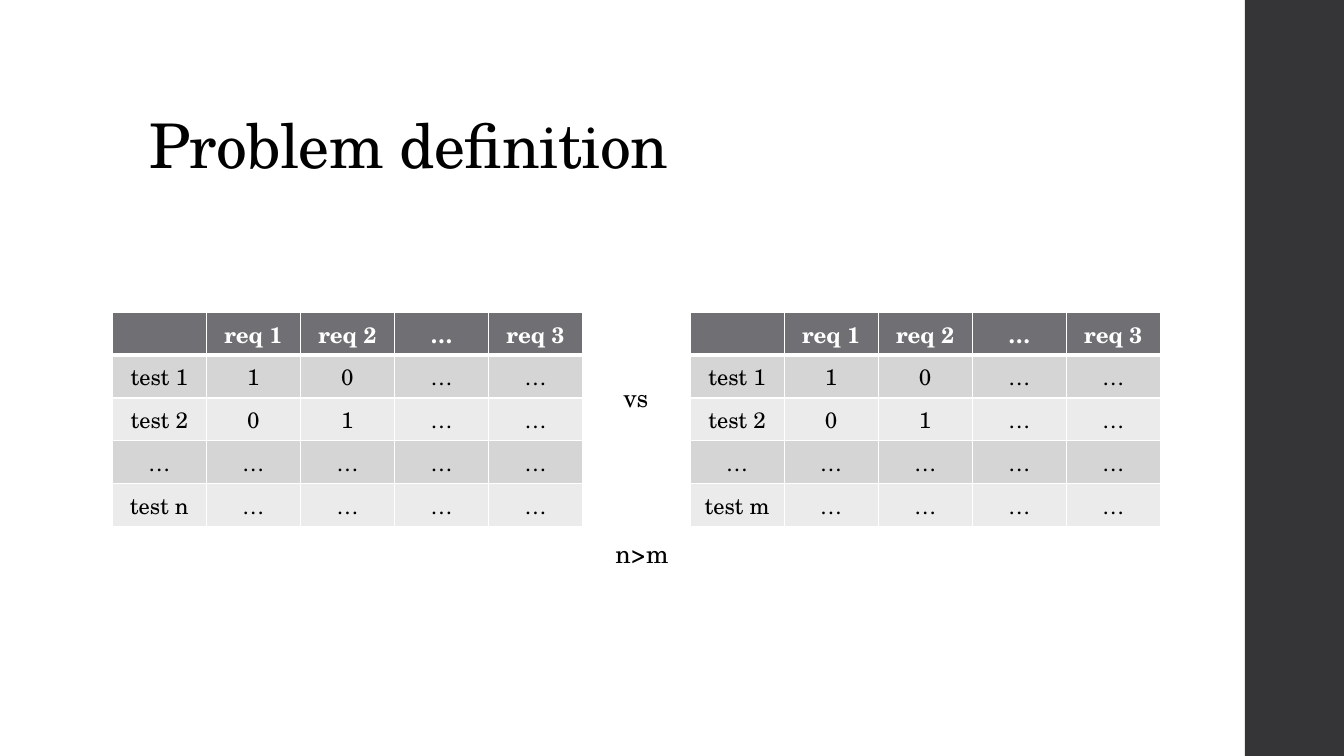
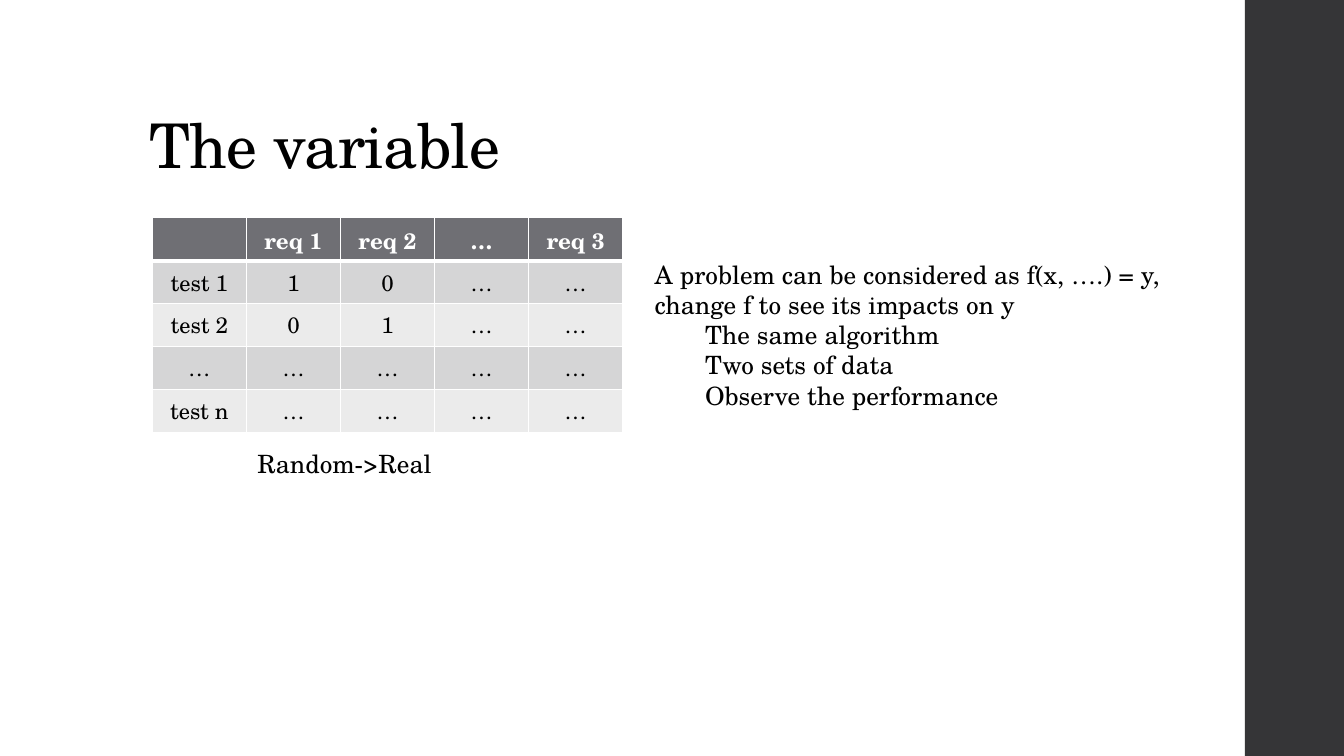
from lxml.etree import SubElement
from pptx import Presentation
from pptx.dml.color import RGBColor
from pptx.enum.shapes import MSO_SHAPE as Preset
from pptx.enum.text import MSO_ANCHOR as Anchor, PP_ALIGN as Align
from pptx.oxml.ns import qn
from pptx.util import Cm, Pt

FONT = "TeX Gyre Schola"
COLORS = {
    "white": "FFFFFF",
    "text": "000000",
    "side_band": "353537",
    "header": "6F6F74",
    "odd_row": "D5D5D6",
    "even_row": "EBEBEB",
}
SLIDE_WIDTH, SLIDE_HEIGHT, BAND_WIDTH = 33.87, 19.05, 2.5
CELL_WIDTH, CELL_HEIGHT = 2.37, 1.08

HEADER = ["", "req 1", "req 2", "…", "req 3"]
ROWS = [
    ["test 1", "1", "0", "…", "…"],
    ["test 2", "0", "1", "…", "…"],
    ["…"] * 5,
]
SLIDES = [
    {
        "title": "Problem definition",
        "tables": [("test n", 2.83, 7.87), ("test m", 17.39, 7.87)],
        "labels": [
            ("vs", 15.46, 9.52, 1.14),
            ("n>m", 15.26, 13.44, 1.85),
        ],
    },
    {
        "title": "The variable",
        "tables": [("test n", 3.84, 5.49)],
        "labels": [("Random->Real", 6.24, 11.18, 4.93)],
        "points": [
            (0, "A problem can be considered as f(x, ….) = y, change f to see its impacts on y"),
            (1, "The same algorithm"),
            (1, "Two sets of data"),
            (1, "Observe the performance"),
        ],
    },
]


def color(name):
    return RGBColor.from_string(COLORS[name])


def format_text(paragraph, size, color_name="text", bold=False):
    for run in paragraph.runs:
        run.font.name = FONT
        run.font.size = Pt(size)
        run.font.bold = bold
        run.font.color.rgb = color(color_name)


def add_text(slide, text, left, top, width, height, size, wrap=True):
    shape = slide.shapes.add_textbox(Cm(left), Cm(top), Cm(width), Cm(height))
    text_frame = shape.text_frame
    text_frame.word_wrap = wrap
    text_frame.text = text
    for paragraph in text_frame.paragraphs:
        format_text(paragraph, size)
    return text_frame


def add_side_band(slide):
    band = slide.shapes.add_shape(
        Preset.RECTANGLE, Cm(SLIDE_WIDTH - BAND_WIDTH), 0, Cm(BAND_WIDTH), Cm(SLIDE_HEIGHT)
    )
    band.shadow.inherit = False
    band.fill.solid()
    band.fill.fore_color.rgb = color("side_band")
    band.line.fill.background()


def add_title(slide, title):
    text_frame = add_text(slide, title, 3.52, 1.02, 26.92, 3.68, 44)
    text_frame.vertical_anchor = Anchor.BOTTOM
    paragraph = text_frame.paragraphs[0]
    paragraph.line_spacing = 0.9
    for run in paragraph.runs:
        run._r.get_or_add_rPr().set("spc", "-50")


def set_borders(cell, widths):
    properties = cell._tc.get_or_add_tcPr()
    for side, width in widths.items():
        line = SubElement(properties, qn(f"a:ln{side}"), w=str(Pt(width)))
        fill = SubElement(line, qn("a:solidFill"))
        SubElement(fill, qn("a:srgbClr"), val=COLORS["white"])


def add_test_table(slide, last_test, left, top):
    rows = [HEADER, *ROWS, [last_test] + ["…"] * 4]
    table = slide.shapes.add_table(
        len(rows), len(HEADER), Cm(left), Cm(top),
        Cm(CELL_WIDTH * len(HEADER)), Cm(CELL_HEIGHT * len(rows)),
    ).table
    for column in table.columns:
        column.width = Cm(CELL_WIDTH)
    for row_index, values in enumerate(rows):
        table.rows[row_index].height = Cm(CELL_HEIGHT)
        is_header = row_index == 0
        fill_name = "header" if is_header else "odd_row" if row_index % 2 else "even_row"
        borders = {"L": 1, "R": 1, "T": 3 if row_index == 1 else 1, "B": 3 if is_header else 1}
        for column_index, value in enumerate(values):
            cell = table.cell(row_index, column_index)
            set_borders(cell, borders)
            cell.fill.solid()
            cell.fill.fore_color.rgb = color(fill_name)
            cell.vertical_anchor = Anchor.MIDDLE
            if value:
                cell.text_frame.text = value
                paragraph = cell.text_frame.paragraphs[0]
                paragraph.alignment = Align.CENTER
                format_text(paragraph, 16, "white" if is_header else "text", is_header)


def add_points(slide, points):
    text = "\n".join(point for _, point in points)
    text_frame = add_text(slide, text, 16.25, 6.4, 15.04, 4.11, 18)
    for paragraph, (level, _) in zip(text_frame.paragraphs, points):
        paragraph.level = level
        properties = paragraph._p.get_or_add_pPr()
        properties.set("marL", str(Cm(1.27 * level)))
        properties.set("indent", "0")


def main():
    presentation = Presentation()
    presentation.slide_width = Cm(SLIDE_WIDTH)
    presentation.slide_height = Cm(SLIDE_HEIGHT)
    for content in SLIDES:
        slide = presentation.slides.add_slide(presentation.slide_layouts[6])
        add_side_band(slide)
        add_title(slide, content["title"])
        for last_test, left, top in content["tables"]:
            add_test_table(slide, last_test, left, top)
        for text, left, top, width in content["labels"]:
            add_text(slide, text, left, top, width, 1.02, 18, wrap=False)
        if "points" in content:
            add_points(slide, content["points"])
    presentation.save("out.pptx")


if __name__ == "__main__":
    main()
